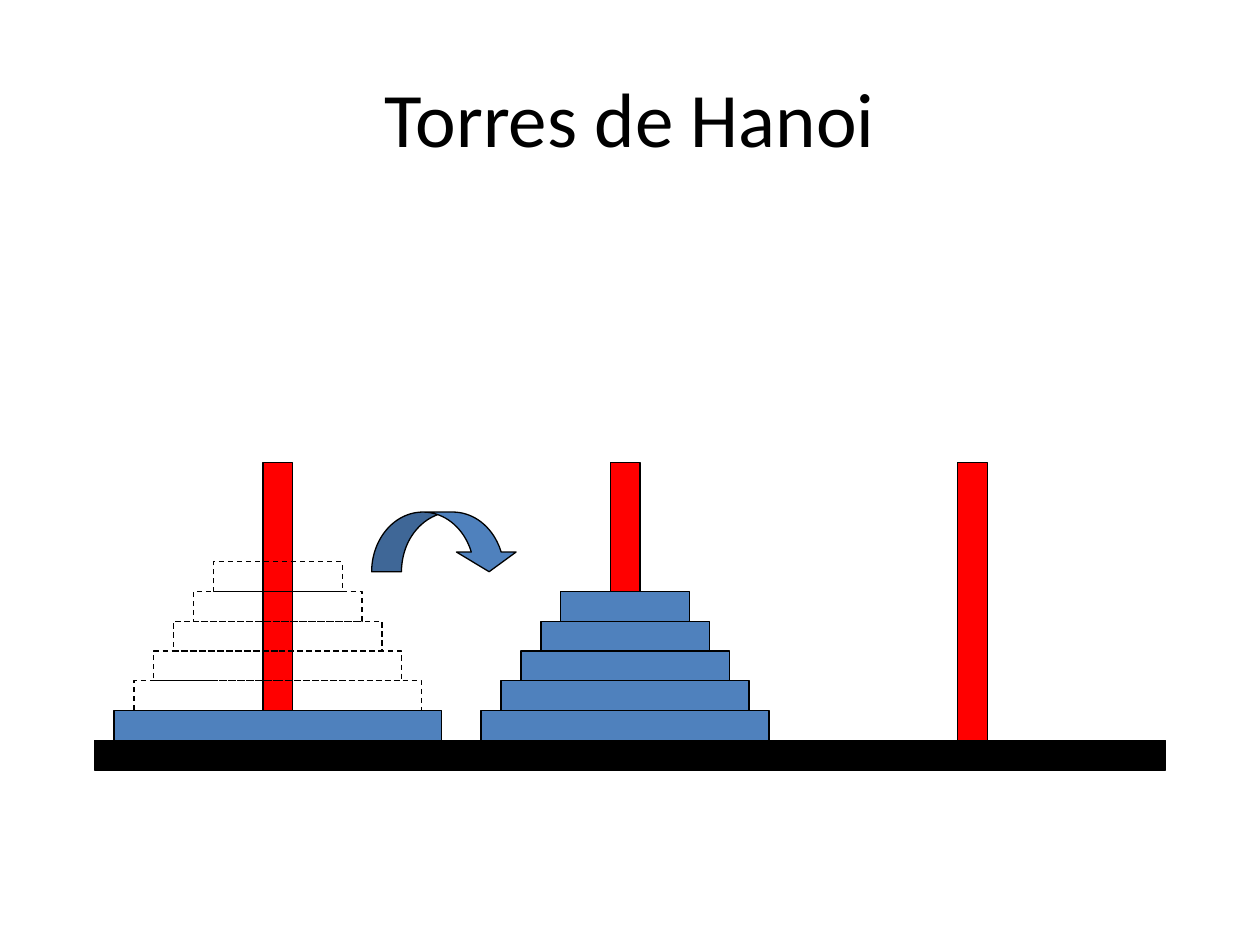
import pptx
import pptx.dml.color
import pptx.enum.dml
import pptx.enum.shapes
import pptx.enum.text
import pptx.util
from dataclasses import dataclass

Pt = pptx.util.Pt
SHAPES = pptx.enum.shapes.MSO_SHAPE


@dataclass(frozen=True)
class Theme:
    font: str = "Calibri"
    title_size: float = 44
    line_width: float = 0.75
    black: str = "000000"
    disc: str = "4F81BD"
    peg: str = "FF0000"


THEME = Theme()

# Geometry in points
UNIT = 17                  # height of discs and base, width of pegs
BASE_TOP = 423
PEG_TOP = 264.3
PEG_CENTERS = [158.8, 357.2, 555.7]
DISC_WIDTHS = [187.2 - 22.74 * rank for rank in range(6)]


def color(value):
    return pptx.dml.color.RGBColor.from_string(value)


def add_title(page, words):
    box = page.shapes.add_textbox(Pt(36), Pt(21.6), Pt(648), Pt(90))
    frame = box.text_frame
    frame.word_wrap = True
    frame.vertical_anchor = pptx.enum.text.MSO_ANCHOR.MIDDLE
    para = frame.paragraphs[0]
    para.alignment = pptx.enum.text.PP_ALIGN.CENTER
    span = para.add_run()
    span.text = words
    span.font.name = THEME.font
    span.font.size = Pt(THEME.title_size)
    span.font.color.rgb = color(THEME.black)


def add_figure(page, kind, left, top, width, height, fill=None):
    """Add an outlined shape; without a fill it is a dashed ghost."""
    figure = page.shapes.add_shape(kind, Pt(left), Pt(top), Pt(width), Pt(height))
    figure.shadow.inherit = False
    figure.line.color.rgb = color(THEME.black)
    figure.line.width = Pt(THEME.line_width)
    if fill:
        figure.fill.solid()
        figure.fill.fore_color.rgb = color(fill)
    else:
        figure.fill.background()
        figure.line.dash_style = pptx.enum.dml.MSO_LINE.DASH
    return figure


def level_top(level):
    """Top of the disc at a level, counted upwards from 0 on the base."""
    return BASE_TOP - UNIT * (level + 1)


def add_stack(page, center, widths, first_level=0, fill=None):
    for level, width in enumerate(widths, first_level):
        add_figure(page, SHAPES.RECTANGLE, center - width / 2, level_top(level),
                   width, UNIT, fill)


def add_peg(page, center, discs):
    """Add the part of a peg that stands above its discs."""
    bottom = BASE_TOP - UNIT * discs
    add_figure(page, SHAPES.RECTANGLE, center - UNIT / 2, PEG_TOP,
               UNIT, bottom - PEG_TOP, THEME.peg)


def add_move_arrow(page):
    arrow = add_figure(page, SHAPES.CURVED_DOWN_ARROW, 212.4, 292.6, 84.2, 34.1,
                       THEME.disc)
    for index, value in enumerate([0.5, 1.0, 0.33]):
        arrow.adjustments[index] = value


def main():
    deck = pptx.Presentation()
    deck.slide_width, deck.slide_height = Pt(720), Pt(540)
    page = deck.slides.add_slide(deck.slide_layouts[6])
    add_title(page, "Torres de Hanoi")

    # Base and solid discs
    add_figure(page, SHAPES.RECTANGLE, 54, BASE_TOP, 612, UNIT, THEME.black)
    largest, moved = DISC_WIDTHS[:1], DISC_WIDTHS[1:]
    add_stack(page, PEG_CENTERS[0], largest, fill=THEME.disc)
    add_stack(page, PEG_CENTERS[1], moved, fill=THEME.disc)

    # Pegs
    for center, discs in zip(PEG_CENTERS, [len(largest), len(moved), 0]):
        add_peg(page, center, discs)

    # The move and the places the discs have left
    add_move_arrow(page)
    add_stack(page, PEG_CENTERS[0], moved, first_level=len(largest))

    deck.save("out.pptx")


if __name__ == "__main__":
    main()
